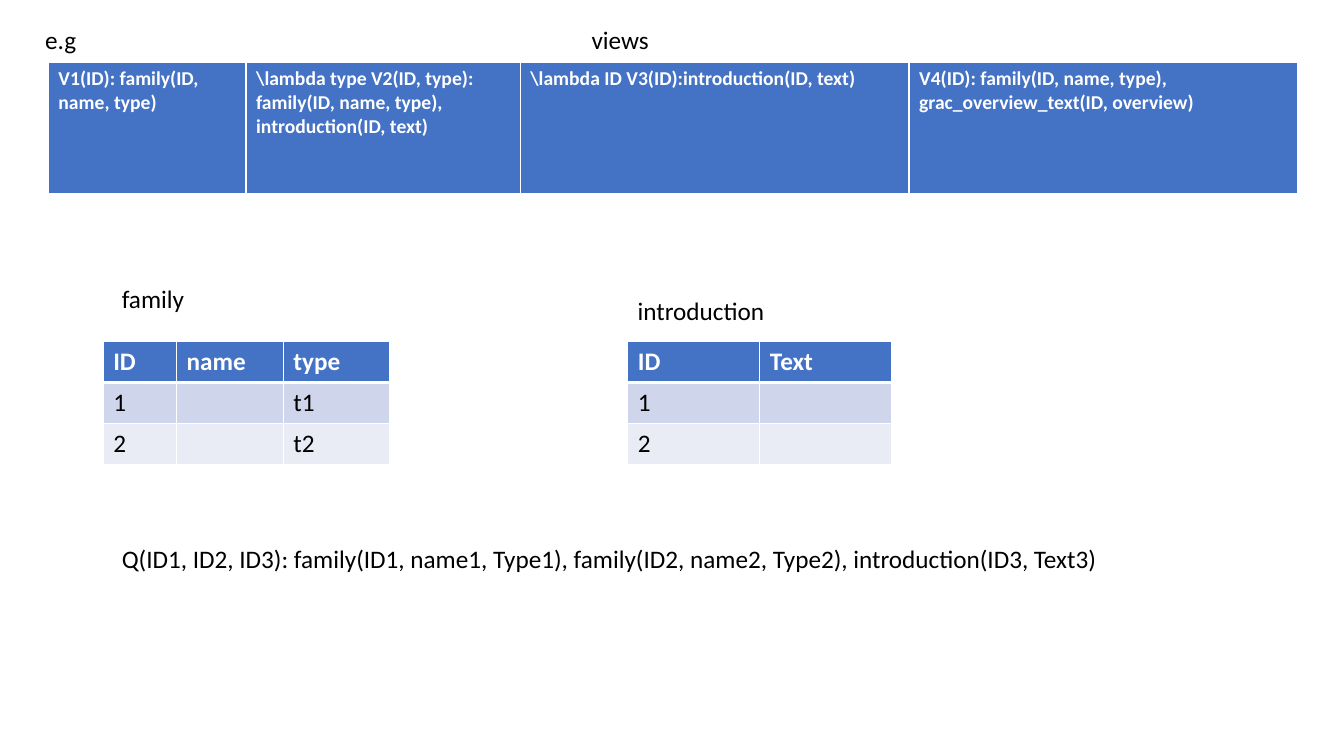
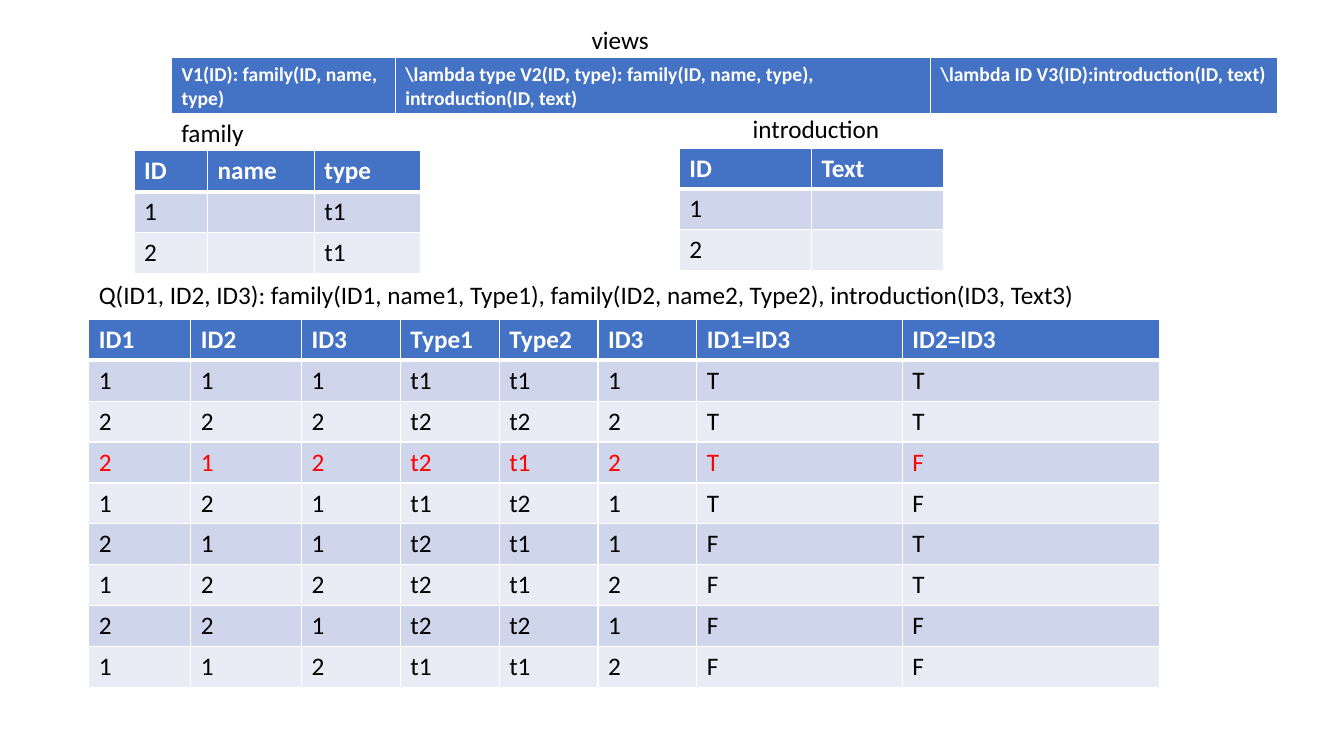
from lxml import etree
from pptx import Presentation
from pptx.dml.color import RGBColor
from pptx.enum.text import MSO_AUTO_SIZE
from pptx.oxml.ns import qn
from pptx.util import Cm, Pt

COLORS = {
    "header": "4472C4",
    "odd": "CFD5EA",
    "even": "E9EBF5",
    "border": "FFFFFF",
    "header_text": "FFFFFF",
    "text": "000000",
    "highlight": "FF0000",
}
FONT = "Calibri"
ROW_HEIGHT = 1.03
FAMILY_COLS = [1.85, 2.69, 2.69]
INTRODUCTION_COLS = [3.33, 3.33]
RESULT_COLS = [2.57, 2.79, 2.49, 2.49, 2.49, 2.49, 5.18, 6.48]

QUERY = ("Q(ID1, ID2, ID3): family(ID1, name1, Type1), "
         "family(ID2, name2, Type2), introduction(ID3, Text3)")
VIEWS = [
    "V1(ID): family(ID, name, type)",
    "\\lambda type V2(ID, type): family(ID, name, type), introduction(ID, text)",
    "\\lambda ID V3(ID):introduction(ID, text)",
    "V4(ID): family(ID, name, type), grac_overview_text(ID, overview)",
]
FAMILY_HEADER = ["ID", "name", "type"]
INTRODUCTION = [["ID", "Text"], ["1", ""], ["2", ""]]
RESULTS = [line.split() for line in (
    "ID1 ID2 ID3 Type1 Type2 ID3 ID1=ID3 ID2=ID3",
    "1 1 1 t1 t1 1 T T",
    "2 2 2 t2 t2 2 T T",
    "2 1 2 t2 t1 2 T F",
    "1 2 1 t1 t2 1 T F",
    "2 1 1 t2 t1 1 F T",
    "1 2 2 t2 t1 2 F T",
    "2 2 1 t2 t2 1 F F",
    "1 1 2 t1 t1 2 F F",
)]


def add_label(slide, text, left, top, width):
    box = slide.shapes.add_textbox(Cm(left), Cm(top), Cm(width), Cm(1.03))
    frame = box.text_frame
    frame.word_wrap = True
    frame.auto_size = MSO_AUTO_SIZE.SHAPE_TO_FIT_TEXT
    run = frame.paragraphs[0].add_run()
    run.text = text
    run.font.name = FONT
    run.font.size = Pt(18)
    run.font.color.rgb = RGBColor.from_string(COLORS["text"])


def add_grid(slide, rows, left, top, widths, height=ROW_HEIGHT, size=18, highlight=None):
    table = slide.shapes.add_table(
        len(rows), len(widths), Cm(left), Cm(top),
        Cm(sum(widths)), Cm(height * len(rows))).table
    for column, width in zip(table.columns, widths):
        column.width = Cm(width)
    for r, values in enumerate(rows):
        table.rows[r].height = Cm(height)
        if r == 0:
            fill, color = "header", "header_text"
        else:
            fill = "odd" if r % 2 else "even"
            color = "highlight" if r == highlight else "text"
        edges = {"lnL": 1, "lnR": 1, "lnT": 3 if r == 1 else 1, "lnB": 3 if r == 0 else 1}
        for c, value in enumerate(values):
            cell = table.cell(r, c)
            properties = cell._tc.get_or_add_tcPr()
            for edge, points in edges.items():
                line = etree.SubElement(properties, qn("a:" + edge), w=str(Pt(points)))
                solid = etree.SubElement(line, qn("a:solidFill"))
                etree.SubElement(solid, qn("a:srgbClr"), val=COLORS["border"])
            cell.fill.solid()
            cell.fill.fore_color.rgb = RGBColor.from_string(COLORS[fill])
            if value:
                run = cell.text_frame.paragraphs[0].add_run()
                run.text = value
                run.font.name = FONT
                run.font.size = Pt(size)
                run.font.bold = r == 0
                run.font.color.rgb = RGBColor.from_string(COLORS[color])


prs = Presentation()
prs.slide_width = Cm(33.87)
prs.slide_height = Cm(19.05)
blank = prs.slide_layouts[6]

schema = prs.slides.add_slide(blank)
add_grid(schema, [VIEWS], 1.22, 1.57, [4.98, 6.91, 9.8, 9.8], height=3.33, size=14)
add_grid(schema, [FAMILY_HEADER, ["1", "", "t1"], ["2", "", "t2"]], 2.6, 8.61, FAMILY_COLS)
add_grid(schema, INTRODUCTION, 15.82, 8.61, INTRODUCTION_COLS)
add_label(schema, "family", 2.82, 7.01, 5)
add_label(schema, "introduction", 15.82, 7.32, 5)
add_label(schema, QUERY, 2.82, 13.56, 28.96)
add_label(schema, "e.g", 0.89, 0.48, 3.43)

evaluation = prs.slides.add_slide(blank)
add_grid(evaluation, [VIEWS[:3]], 4.32, 1.45, [5.64, 13.49, 8.74], height=1.44, size=14)
add_grid(evaluation, [FAMILY_HEADER, ["1", "", "t1"], ["2", "", "t1"]], 3.38, 3.8, FAMILY_COLS)
add_grid(evaluation, INTRODUCTION, 17.12, 3.73, INTRODUCTION_COLS)
add_label(evaluation, "family", 4.32, 2.84, 5)
add_label(evaluation, "introduction", 18.72, 2.72, 5)
add_label(evaluation, QUERY, 2.24, 6.91, 28.96)
add_grid(evaluation, RESULTS, 2.24, 8.05, RESULT_COLS, highlight=3)

for slide in (schema, evaluation):
    add_label(slide, "views", 14.66, 0.48, 6.99)

prs.save("out.pptx")
